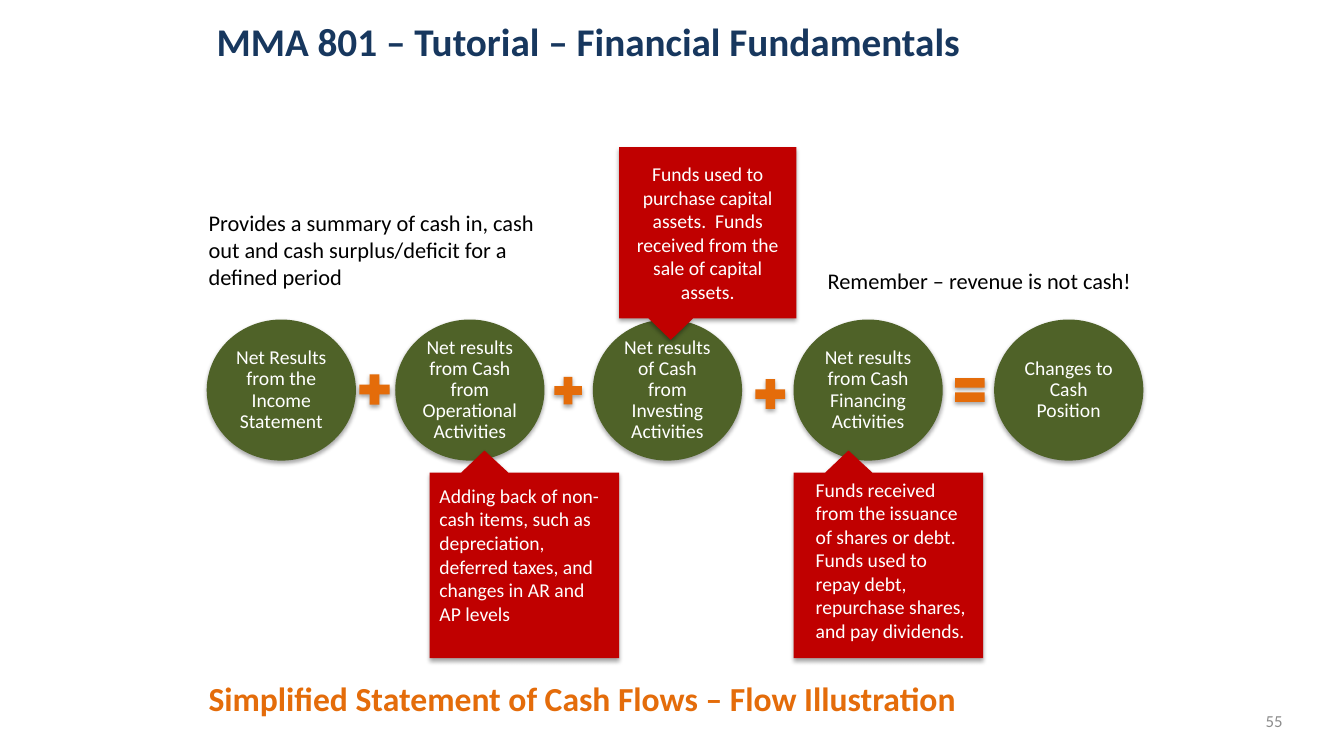
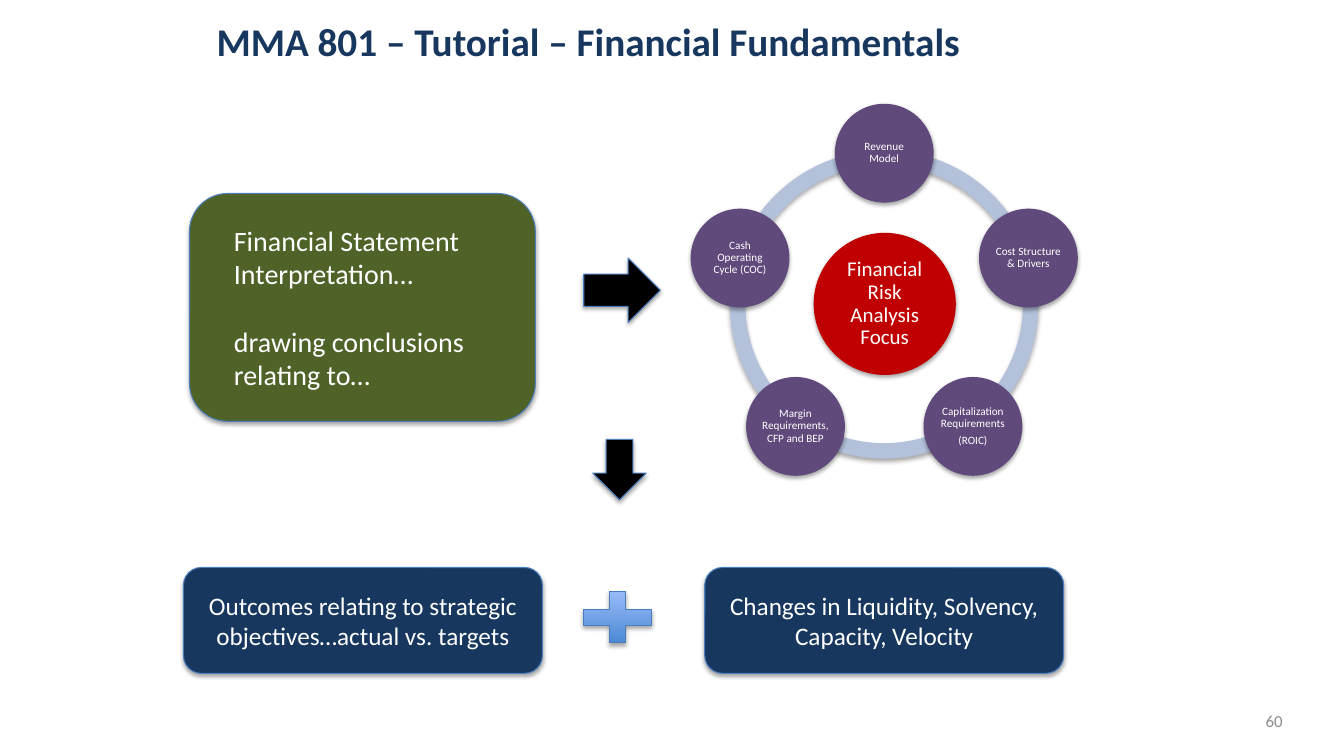
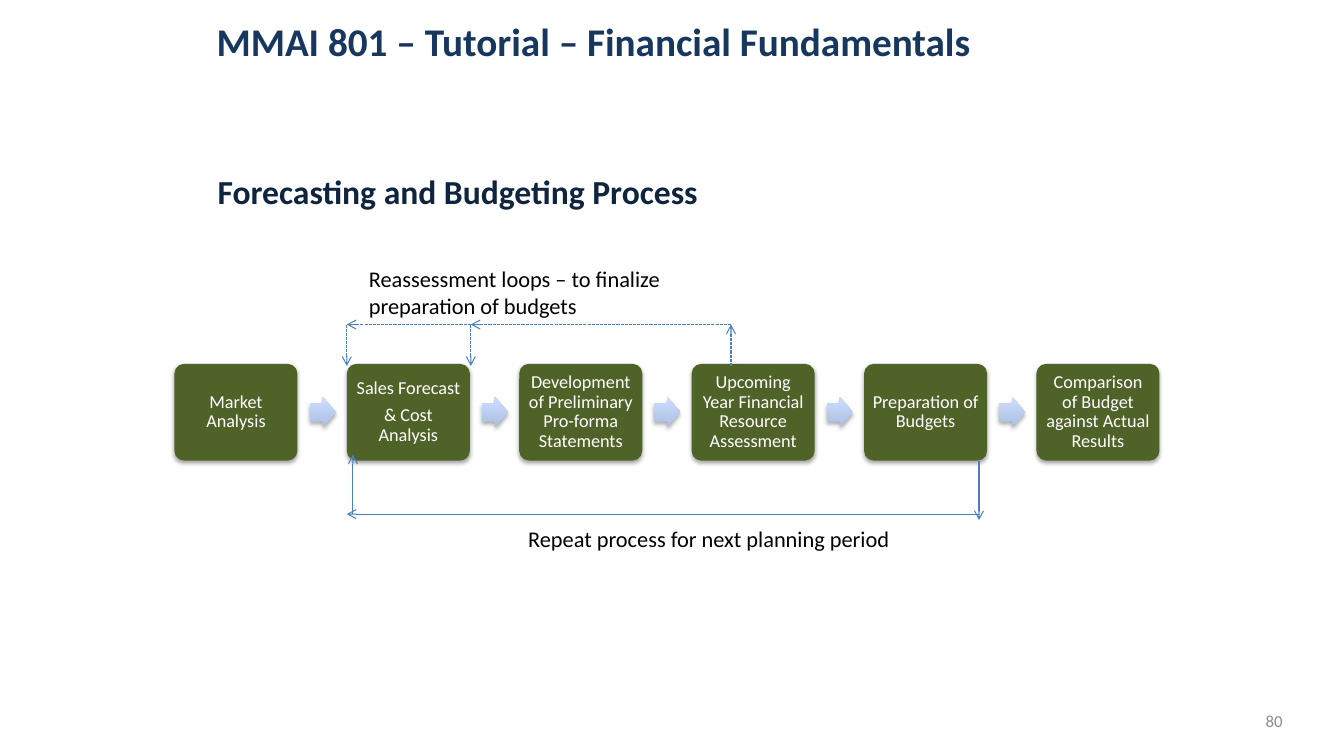
from math import cos, pi, sin
from lxml.etree import SubElement
from pptx import Presentation
from pptx.dml.color import RGBColor
from pptx.enum.dml import MSO_LINE
from pptx.enum.shapes import MSO_CONNECTOR, MSO_SHAPE as Form
from pptx.enum.text import MSO_ANCHOR, PP_ALIGN
from pptx.oxml.ns import qn
from pptx.util import Pt

PX = 9144
GREEN, RED, NAVY, PURPLE = "4F6228", "C00000", "17375E", "604A7B"
ORANGE, BLUE, WHITE, BLACK = "E46C0A", "4B7EBC", "FFFFFF", "000000"
LEFT, MID, RIGHT = PP_ALIGN.LEFT, PP_ALIGN.CENTER, PP_ALIGN.RIGHT
TOP, HALF = MSO_ANCHOR.TOP, MSO_ANCHOR.MIDDLE


def hue(code):
    return RGBColor.from_string(code)


def put(slide, form, box, fill=None, text="", size=14, ink=WHITE, bold=False,
        align=MID, anchor=HALF, pad=(10, 5, 10, 5), lead=None, gap=5, edge=None):
    area = [n * PX for n in box]
    if form is None:
        shape = slide.shapes.add_textbox(*area)
    else:
        shape = slide.shapes.add_shape(form, *area)
        if isinstance(fill, tuple):
            shape.fill.gradient()
            shape.fill.gradient_angle = 90
            for stop, code in zip(shape.fill.gradient_stops, fill):
                stop.color.rgb = hue(code)
        else:
            shape.fill.solid()
            shape.fill.fore_color.rgb = hue(fill)
        if edge:
            shape.line.color.rgb = hue(edge)
            shape.line.width = Pt(0.75)
        else:
            shape.line.fill.background()
        shape.shadow.inherit = False
        glow = SubElement(shape._element.spPr.find(qn("a:effectLst")), qn("a:outerShdw"),
                          blurRad="40000", dist="23000", dir="5400000", rotWithShape="0")
        tint = SubElement(glow, qn("a:srgbClr"), val=BLACK)
        SubElement(tint, qn("a:alpha"), val="35000")
    if text:
        frame = shape.text_frame
        frame.word_wrap = True
        frame.vertical_anchor = anchor
        frame.margin_left, frame.margin_top, frame.margin_right, frame.margin_bottom = [
            n * PX for n in pad]
        frame.text = text
        for i, para in enumerate(frame.paragraphs):
            para.alignment = align
            if lead:
                para.line_spacing = lead
            if i:
                para.space_before = Pt(gap)
            font = para.font
            font.name, font.size, font.bold = "Calibri", Pt(size), bold
            font.color.rgb = hue(ink)
    return shape


deck = Presentation()
deck.slide_width, deck.slide_height = 1333 * PX, 750 * PX
slides = []
for name, page in (("MMA", "55"), ("MMA", "60"), ("MMAI", "80")):
    slide = deck.slides.add_slide(deck.slide_layouts[6])
    put(slide, None, (205, 5, 820, 71), text=f"{name} 801 – Tutorial – Financial Fundamentals",
        size=28, ink=NAVY, bold=True, align=LEFT)
    put(slide, None, (982, 695, 300, 40), text=page, size=12, ink="8C8C8C", align=RIGHT)
    slides.append(slide)
flow, focus, budget = slides

for x, text in (
    (205, "Net Results from the Income Statement"),
    (392, "Net results from Cash from Operational Activities"),
    (588, "Net results of Cash from Investing Activities"),
    (787, "Net results from Cash Financing Activities"),
    (986, "Changes to Cash Position"),
):
    put(flow, Form.OVAL, (x, 317, 148, 140), GREEN, text, lead=0.9, pad=(2, 2, 2, 2))
for form, x, y, side in (
    (Form.MATH_PLUS, 351, 366, 41),
    (Form.MATH_PLUS, 545, 369, 37),
    (Form.MATH_PLUS, 744, 371, 40),
    (Form.MATH_EQUAL, 942, 367, 40),
):
    put(flow, form, (x, y, side, side), ORANGE)
put(flow, Form.RECTANGULAR_CALLOUT, (614, 146, 176, 170), RED,
    "Funds used to purchase capital assets.  Funds received from the sale of capital assets.")
for x, pad, text in (
    (787, (22, 5, 10, 5), "Funds received from the issuance of shares or debt. Funds used to "
     "repay debt, repurchase shares, and pay dividends."),
    (426, (10, 11, 10, 5), "Adding back of non-cash items, such as depreciation, deferred taxes, "
     "and changes in AR and AP levels"),
):
    note = put(flow, Form.RECTANGULAR_CALLOUT, (x, 469, 188, 184), RED, text,
               align=LEFT, anchor=TOP, pad=pad)
    note.adjustments[0], note.adjustments[1] = -0.21, -0.62
for box, text in (
    ((197, 203, 375, 91), "Provides a summary of cash in, cash out and cash surplus/deficit "
     "for a defined period"),
    ((811, 260, 335, 37), "Remember – revenue is not cash!"),
):
    put(flow, None, box, text=text, size=16, ink=BLACK, align=LEFT, anchor=TOP)
put(flow, None, (197, 668, 820, 50), text="Simplified Statement of Cash Flows – Flow Illustration",
    size=24, ink=ORANGE, bold=True, align=LEFT, anchor=TOP)

ring = put(focus, Form.DONUT, (724, 149, 306, 306), "B3C1DB")
ring.adjustments[0] = 0.05
put(focus, Form.OVAL, (807, 231, 141, 141), RED, "Financial Risk Analysis Focus",
    size=15, lead=0.9, pad=(2, 2, 2, 2))
nodes = ("Revenue Model", "Cost Structure & Drivers", "Capitalization Requirements\n(ROIC)",
         "Margin Requirements, CFP and BEP", "Cash Operating Cycle (COC)")
for i, text in enumerate(nodes):
    turn = 2 * pi * i / len(nodes)
    x, y = round(877 + 150 * sin(turn)), round(302 - 150 * cos(turn))
    put(focus, Form.OVAL, (x - 49, y - 49, 98, 98), PURPLE, text, size=8,
        lead=0.9, gap=3, pad=(1, 1, 1, 1))
put(focus, Form.ROUNDED_RECTANGLE, (188, 192, 343, 226), GREEN,
    "Financial Statement Interpretation…\ndrawing conclusions relating to…",
    size=20, align=LEFT, pad=(33, 5, 0, 5), gap=24, edge=BLUE)
put(focus, Form.RIGHT_ARROW, (579, 256, 76, 64), BLACK, edge=BLUE)
put(focus, Form.DOWN_ARROW, (588, 436, 53, 60), BLACK, edge=BLUE)
put(focus, Form.MATH_PLUS, (567, 578, 91, 69), ("3F80CE", "A4C4FF"), edge=BLUE)
for x, text in (
    (182, "Outcomes relating to strategic objectives…actual vs. targets"),
    (699, "Changes in Liquidity, Solvency, Capacity, Velocity"),
):
    put(focus, Form.ROUNDED_RECTANGLE, (x, 563, 356, 105), NAVY, text, size=18, edge=BLUE)

put(budget, None, (206, 154, 820, 71), text="Forecasting and Budgeting Process",
    size=24, ink="0F243E", bold=True, align=LEFT)
steps = ("Market Analysis", "Sales Forecast\n& Cost Analysis",
         "Development of Preliminary Pro-forma Statements",
         "Upcoming Year Financial Resource Assessment",
         "Preparation of Budgets", "Comparison of Budget against Actual Results")
for i, text in enumerate(steps):
    x = 173 + 171 * i
    step = put(budget, Form.ROUNDED_RECTANGLE, (x, 361, 122, 96), GREEN, text,
               size=13, lead=0.9, pad=(5, 5, 5, 5))
    step.adjustments[0] = 0.1
    if i < len(steps) - 1:
        arrow = put(budget, Form.RIGHT_ARROW, (x + 134, 394, 26, 30), ("ADBFE1", "CCDDFF"))
        arrow.adjustments[0] = 0.6
for ends, dash in (
    ((971, 457, 971, 516), None),
    ((971, 510, 344, 510), None),
    ((350, 510, 350, 451), None),
    ((725, 363, 725, 322), MSO_LINE.SQUARE_DOT),
    ((725, 322, 467, 322), MSO_LINE.SQUARE_DOT),
    ((467, 322, 467, 363), MSO_LINE.SQUARE_DOT),
    ((467, 322, 344, 322), MSO_LINE.SQUARE_DOT),
    ((344, 322, 344, 363), MSO_LINE.SQUARE_DOT),
):
    link = budget.shapes.add_connector(MSO_CONNECTOR.STRAIGHT, *[n * PX for n in ends])
    link.line.color.rgb = hue(BLUE)
    link.line.width = Pt(0.75)
    if dash:
        link.line.dash_style = dash
    SubElement(link.line._get_or_add_ln(), qn("a:tailEnd"), type="arrow")
    SubElement(link._element.spPr, qn("a:effectLst"))
for box, text in (
    ((514, 516, 387, 37), "Repeat process for next planning period"),
    ((356, 258, 383, 64), "Reassessment loops – to finalize preparation of budgets"),
):
    put(budget, None, box, text=text, size=16, ink=BLACK, align=LEFT, anchor=TOP)

deck.save("out.pptx")
